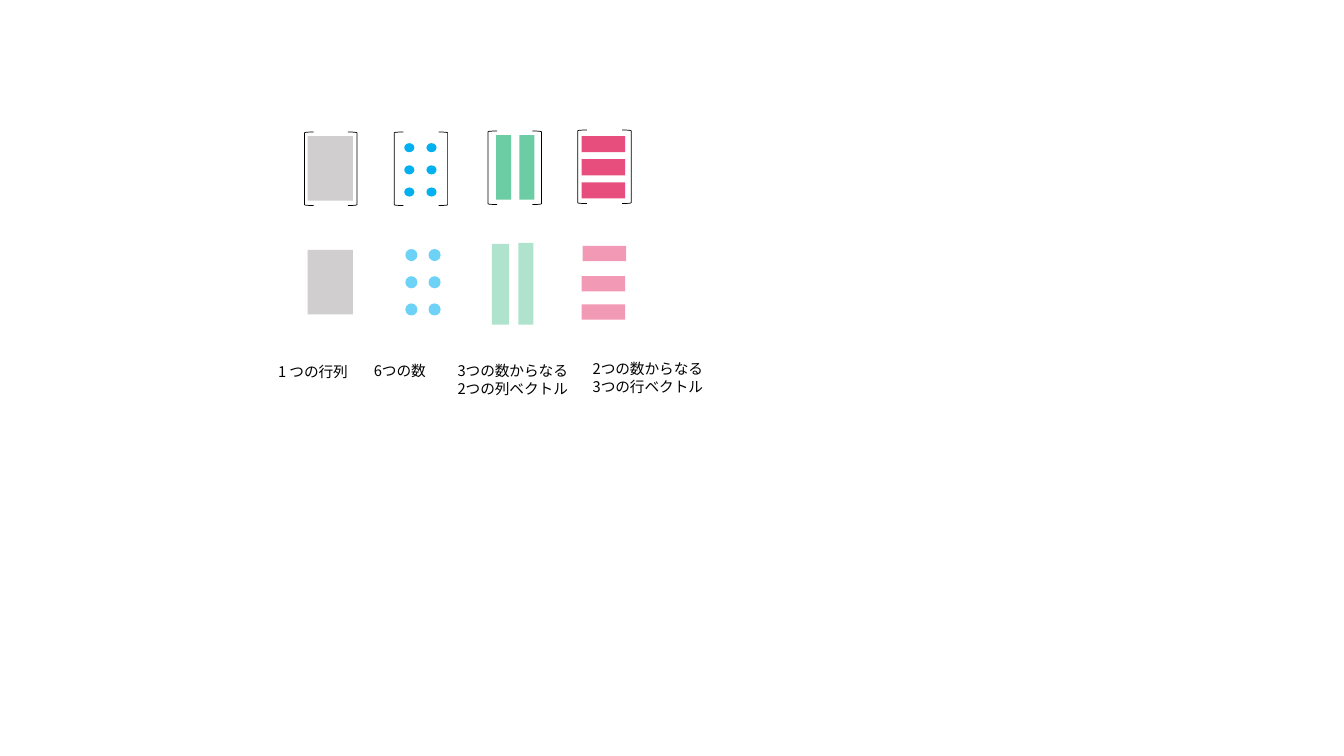
from dataclasses import dataclass

from lxml import etree
from pptx import Presentation
from pptx.dml.color import RGBColor
from pptx.enum.lang import MSO_LANGUAGE_ID
from pptx.enum.shapes import MSO_SHAPE
from pptx.enum.text import MSO_AUTO_SIZE
from pptx.oxml.ns import qn
from pptx.util import Inches, Pt

RECTANGLE = MSO_SHAPE.RECTANGLE
OVAL = MSO_SHAPE.OVAL
BRACKET = MSO_SHAPE.LEFT_BRACKET
GROW = MSO_AUTO_SIZE.SHAPE_TO_FIT_TEXT
JAPANESE = MSO_LANGUAGE_ID.JAPANESE


@dataclass(frozen=True)
class Theme:
    font: str = "Noto Sans CJK JP"
    label_size: float = 10.5
    bracket_width: float = 0.5
    ink: str = "000000"
    matrix: str = "D0CECE"
    number: str = "00B0F0"
    column: str = "2EB77C"
    row: str = "E11F5B"


@dataclass(frozen=True)
class Box:
    left: float
    top: float
    width: float
    height: float

    def inside(self, part):
        """Place a part given relative to this box."""
        return Box(self.left + part.left, self.top + part.top, part.width, part.height)

    def lengths(self):
        return [Inches(value) for value in (self.left, self.top, self.width, self.height)]


THEME = Theme()
BRACKET_DEPTH = 0.09


def grid(first, columns=1, rows=1, pitch=(0, 0)):
    """Repeat the first box by columns, then rows, at an equal pitch."""
    return [
        Box(first.left + column * pitch[0], first.top + row * pitch[1], first.width, first.height)
        for column in range(columns)
        for row in range(rows)
    ]


def add_mark(shapes, kind, box, color, opacity):
    mark = shapes.add_shape(kind, *box.lengths())
    mark.shadow.inherit = False
    mark.line.fill.background()
    mark.fill.solid()
    mark.fill.fore_color.rgb = RGBColor.from_string(color)
    if opacity < 100:
        rgb = mark._element.spPr.find(".//" + qn("a:srgbClr"))
        etree.SubElement(rgb, qn("a:alpha"), val=str(opacity * 1000))


def add_brackets(shapes, box):
    right = box.width - BRACKET_DEPTH
    for offset, flipped in ((0, False), (right, True)):
        side = box.inside(Box(offset, 0, BRACKET_DEPTH, box.height))
        bracket = shapes.add_shape(BRACKET, *side.lengths())
        bracket.shadow.inherit = False
        bracket.fill.background()
        bracket.line.color.rgb = RGBColor.from_string(THEME.ink)
        bracket.line.width = Pt(THEME.bracket_width)
        if flipped:
            bracket._element.spPr.find(qn("a:xfrm")).set("flipH", "1")


def add_panel(page, box, kind, color, opacity, marks, bracketed):
    """Draw one view of the matrix, with marks placed relative to its box."""
    single = len(marks) == 1 and not bracketed
    shapes = page.shapes if single else page.shapes.add_group_shape().shapes
    for mark in marks:
        add_mark(shapes, kind, box.inside(mark), color, opacity)
    if bracketed:
        add_brackets(shapes, box)


def add_label(page, box, lines):
    frame = page.shapes.add_textbox(*box.lengths()).text_frame
    frame.word_wrap = True
    frame.auto_size = GROW
    font_format = {
        "name": THEME.font,
        "size": Pt(THEME.label_size),
        "language_id": JAPANESE,
    }
    for index, line in enumerate(lines):
        para = frame.add_paragraph() if index else frame.paragraphs[0]
        span = para.add_run()
        span.text = line
        for name, value in font_format.items():
            setattr(span.font, name, value)
        span.font.color.rgb = RGBColor.from_string(THEME.ink)
        etree.SubElement(span.font._element, qn("a:ea"), typeface=THEME.font)


def add_bracketed_views(page):
    views = [
        (Box(3.02, 1.31, 0.52, 0.73), RECTANGLE, THEME.matrix, 100,
         [Box(0.03, 0.04, 0.45, 0.64)]),
        (Box(3.91, 1.31, 0.53, 0.73), OVAL, THEME.number, 100,
         grid(Box(0.1, 0.11, 0.1, 0.09), 2, 3, (0.22, 0.22))),
        (Box(4.84, 1.3, 0.53, 0.73), RECTANGLE, THEME.column, 70,
         grid(Box(0.08, 0.04, 0.15, 0.64), 2, pitch=(0.23, 0))),
        (Box(5.73, 1.29, 0.53, 0.73), RECTANGLE, THEME.row, 79,
         grid(Box(0.04, 0.06, 0.43, 0.16), rows=3, pitch=(0, 0.23))),
    ]
    for view in views:
        add_panel(page, *view, bracketed=True)


def add_open_views(page):
    views = [
        (Box(3.05, 2.48, 0.45, 0.64), RECTANGLE, THEME.matrix, 100,
         [Box(0, 0, 0.45, 0.64)]),
        (Box(4.02, 2.47, 0.35, 0.66), OVAL, THEME.number, 57,
         grid(Box(0, 0, 0.12, 0.12), 2, 3, (0.23, 0.27))),
        (Box(4.88, 2.41, 0.41, 0.81), RECTANGLE, THEME.column, 38,
         [Box(0, 0.01, 0.17, 0.8), Box(0.26, 0, 0.15, 0.81)]),
        (Box(5.77, 2.44, 0.44, 0.73), RECTANGLE, THEME.row, 45,
         [Box(0.01, 0, 0.43, 0.15), Box(0, 0.3, 0.43, 0.15), Box(0, 0.58, 0.43, 0.15)]),
    ]
    for view in views:
        add_panel(page, *view, bracketed=False)


def add_labels(page):
    labels = [
        (Box(2.66, 3.55, 0.93, 0.28), ["1 つの行列"]),
        (Box(3.61, 3.54, 0.73, 0.28), ["6つの数"]),
        (Box(4.44, 3.54, 1.32, 0.45), ["3つの数からなる", "2つの列ベクトル"]),
        (Box(5.78, 3.52, 1.32, 0.45), ["2つの数からなる", "3つの行ベクトル"]),
    ]
    for box, lines in labels:
        add_label(page, box, lines)


def main():
    deck = Presentation()
    deck.slide_width = Inches(13.33)
    deck.slide_height = Inches(7.5)
    page = deck.slides.add_slide(deck.slide_layouts[6])
    add_bracketed_views(page)
    add_open_views(page)
    add_labels(page)
    deck.save("out.pptx")


if __name__ == "__main__":
    main()
